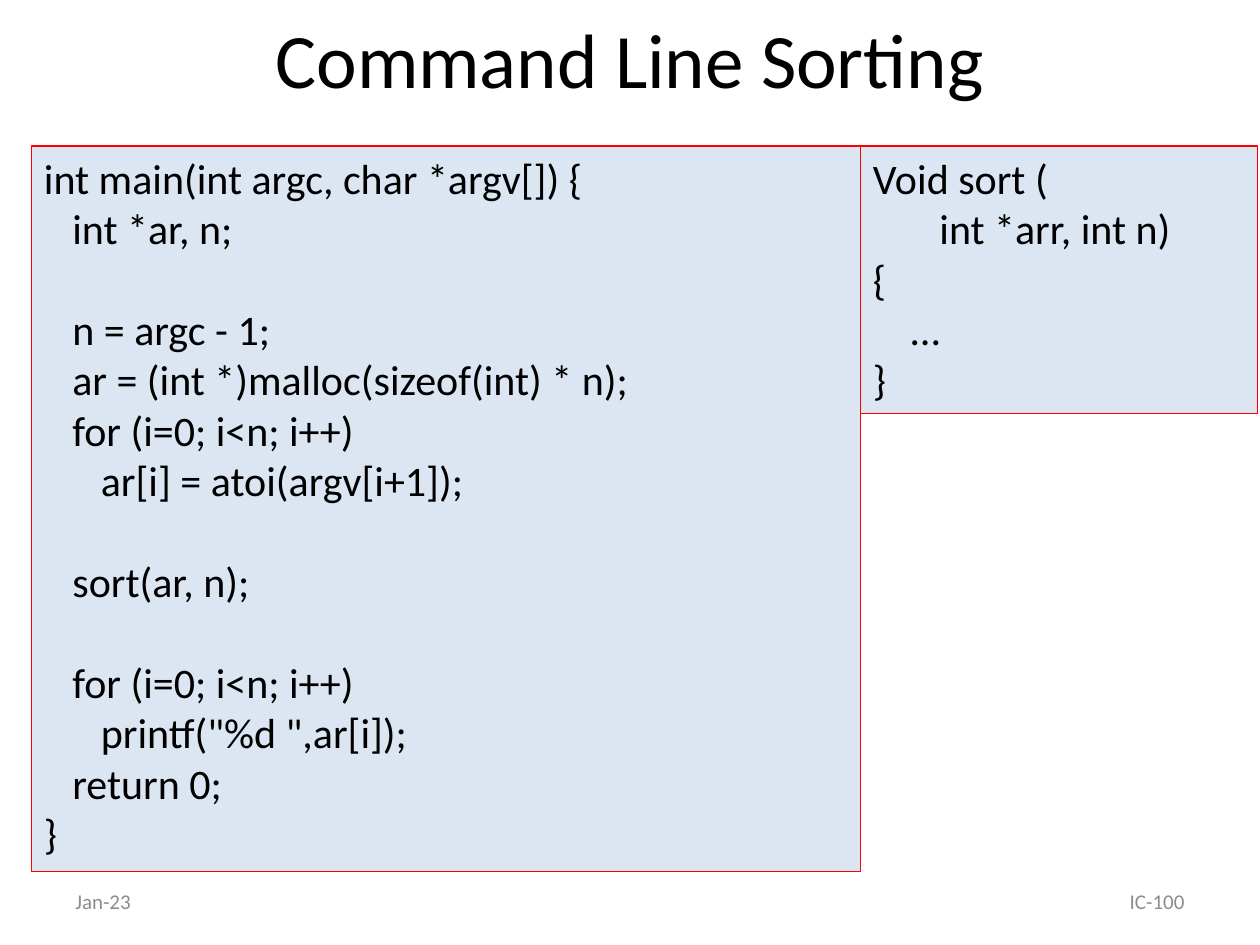
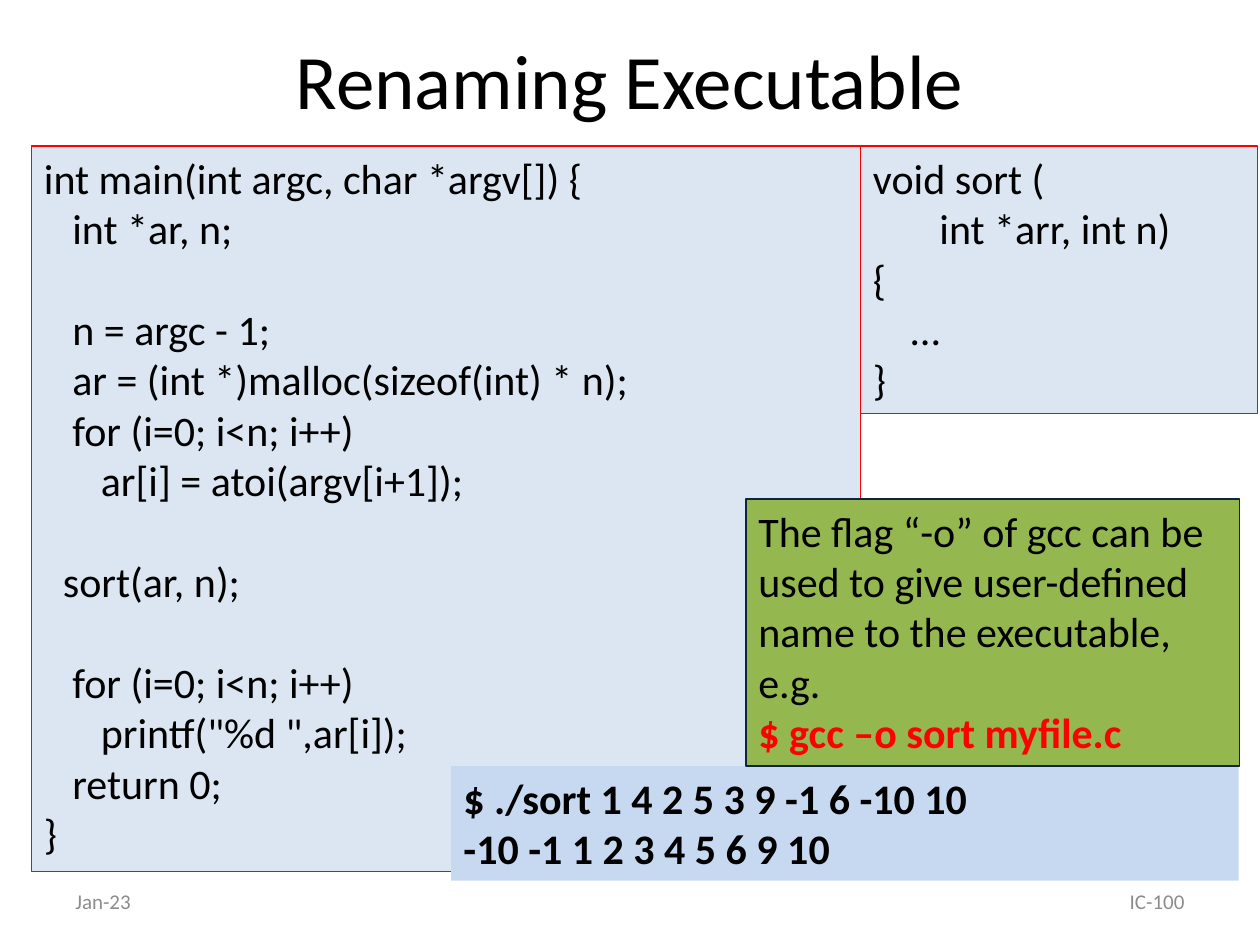
from pptx import Presentation
from pptx.dml.color import RGBColor
from pptx.enum.shapes import MSO_SHAPE
from pptx.enum.text import MSO_ANCHOR, MSO_AUTO_SIZE, PP_ALIGN
from pptx.util import Inches, Pt

RECTANGLE = MSO_SHAPE.RECTANGLE
TOP, MIDDLE = MSO_ANCHOR.TOP, MSO_ANCHOR.MIDDLE
LEFT, CENTER, RIGHT = PP_ALIGN.LEFT, PP_ALIGN.CENTER, PP_ALIGN.RIGHT
GROW, FIXED = MSO_AUTO_SIZE.SHAPE_TO_FIT_TEXT, MSO_AUTO_SIZE.NONE

FONT = "Calibri"
BLACK, RED, GRAY = "000000", "FF0000", "8C8C8C"
CODE_FILL, TERMINAL_FILL = "DCE6F2", "C6D9F1"
NOTE_FILL, NOTE_LINE = "95B74F", "0F243E"
TITLE_SIZE, BODY_SIZE, FOOTER_SIZE = 44, 24, 12
LINE_GAP = 28.8              # one empty code line, in points
INDENT_STEP = 0.226 * BODY_SIZE  # one column of code indent, in points

WIDTH, HEIGHT = 10, 7.5
MARGIN = 0.5
TITLE_HEIGHT = 1.25
FOOTER_TOP, FOOTER_WIDTH, FOOTER_HEIGHT = 6.95, 2.33, 0.4
CODE_LEFT, CODE_TOP, CODE_WIDTH = 0.25, 1.16, 6.58
SPLIT = CODE_LEFT + CODE_WIDTH
MAIN_BOX = (CODE_LEFT, CODE_TOP, CODE_WIDTH, 5.76)
SORT_BOX = (SPLIT, CODE_TOP, 3.15, 2.12)
NOTE_BOX = (5.92, 3.96, 3.92, 2.12)
TERMINAL_BOX = (3.58, 6.08, 6.25, 0.91)


def color(value):
    """Turn a hex string into a colour."""
    return RGBColor.from_string(value)


def add_run(paragraph, text, size=BODY_SIZE, ink=BLACK, bold=False):
    """Append one formatted run."""
    run = paragraph.add_run()
    run.text = text
    font = run.font
    font.name, font.size, font.bold = FONT, Pt(size), bold
    font.color.rgb = color(ink)


def next_paragraph(frame, number):
    """Return the first paragraph, or a new one after it."""
    return frame.add_paragraph() if number else frame.paragraphs[0]


def add_title(slide, text, top):
    """Place and format the title placeholder."""
    title = slide.shapes.title
    title.left, title.top = Inches(MARGIN), Inches(top)
    title.width, title.height = Inches(WIDTH - 2 * MARGIN), Inches(TITLE_HEIGHT)
    frame = title.text_frame
    frame.auto_size, frame.vertical_anchor = FIXED, MIDDLE
    frame.paragraphs[0].alignment = CENTER
    add_run(frame.paragraphs[0], text, TITLE_SIZE)


def add_footers(slide):
    """Place the date on the left and the course on the right."""
    right_edge = WIDTH - MARGIN - FOOTER_WIDTH
    for text, left, alignment in (("Jan-23", MARGIN, LEFT), ("IC-100", right_edge, RIGHT)):
        box = slide.shapes.add_textbox(Inches(left), Inches(FOOTER_TOP),
                                       Inches(FOOTER_WIDTH), Inches(FOOTER_HEIGHT))
        frame = box.text_frame
        frame.word_wrap, frame.vertical_anchor = True, MIDDLE
        frame.paragraphs[0].alignment = alignment
        add_run(frame.paragraphs[0], text, FOOTER_SIZE, GRAY)


def add_panel(slide, box, fill, line=None):
    """Draw a filled panel and return its text frame."""
    shape = slide.shapes.add_shape(RECTANGLE, *map(Inches, box))
    shape.shadow.inherit = False
    shape.fill.solid()
    shape.fill.fore_color.rgb = color(fill)
    if line:
        shape.line.color.rgb = color(line)
        shape.line.width = Pt(0.75)
    else:
        shape.line.fill.background()
    frame = shape.text_frame
    frame.word_wrap, frame.auto_size, frame.vertical_anchor = True, GROW, TOP
    return frame


def add_code(slide, box, lines):
    """Fill a panel with code lines: indent columns, text, empty lines before."""
    frame = add_panel(slide, box, CODE_FILL, RED)
    for number, (indent, text, gap) in enumerate(lines):
        paragraph = next_paragraph(frame, number)
        paragraph.alignment = LEFT
        paragraph.space_before = Pt(gap * LINE_GAP)
        properties = paragraph._p.get_or_add_pPr()
        properties.set("marL", str(Pt(indent * INDENT_STEP)))
        properties.set("indent", "0")
        add_run(paragraph, text)


def add_text_panel(slide, box, fill, line, lines):
    """Fill a panel with lines of text, colour and weight."""
    frame = add_panel(slide, box, fill, line)
    for number, (text, ink, bold) in enumerate(lines):
        paragraph = next_paragraph(frame, number)
        paragraph.alignment = LEFT
        add_run(paragraph, text, ink=ink, bold=bold)


def main_lines(call_indent):
    """Return the main program, with the given indent for the sort call."""
    return [
        (0, "int main(int argc, char *argv[]) {", 0),
        (3, "int *ar, n;", 0),
        (3, "n = argc - 1;", 1),
        (3, "ar = (int *)malloc(sizeof(int) * n);", 0),
        (3, "for (i=0; i<n; i++)", 0),
        (6, "ar[i] = atoi(argv[i+1]);", 0),
        (call_indent, "sort(ar, n);", 1),
        (3, "for (i=0; i<n; i++)", 1),
        (6, 'printf("%d ",ar[i]);', 0),
        (3, "return 0;", 0),
        (0, "}", 0),
    ]


def sort_lines(return_type):
    """Return the outline of the sort function."""
    return [(0, f"{return_type} sort (", 0), (7, "int *arr, int n)", 0),
            (0, "{", 0), (4, "…", 0), (0, "}", 0)]


def add_code_slide(presentation, title, title_top, call_indent):
    """Add a slide with title, footers and the main program."""
    slide = presentation.slides.add_slide(presentation.slide_layouts[5])
    add_title(slide, title, title_top)
    add_footers(slide)
    add_code(slide, MAIN_BOX, main_lines(call_indent))
    return slide


def build():
    """Build both slides and save them."""
    presentation = Presentation()
    presentation.slide_width, presentation.slide_height = Inches(WIDTH), Inches(HEIGHT)

    sorting = add_code_slide(presentation, "Command Line Sorting", -0.17, 3)
    add_code(sorting, SORT_BOX, sort_lines("Void"))

    renaming = add_code_slide(presentation, "Renaming Executable", 0, 2)
    add_text_panel(renaming, TERMINAL_BOX, TERMINAL_FILL, None, [
        ("$ ./sort 1 4 2 5 3 9 -1 6 -10 10", BLACK, True),
        ("-10 -1 1 2 3 4 5 6 9 10", BLACK, True),
    ])
    add_text_panel(renaming, NOTE_BOX, NOTE_FILL, NOTE_LINE, [
        ("The flag “-o” of gcc can be used to give user-defined "
         "name to the executable, e.g.", BLACK, False),
        ("$ gcc –o sort myfile.c", RED, True),
    ])
    add_code(renaming, SORT_BOX, sort_lines("void"))

    presentation.save("out.pptx")


build()
